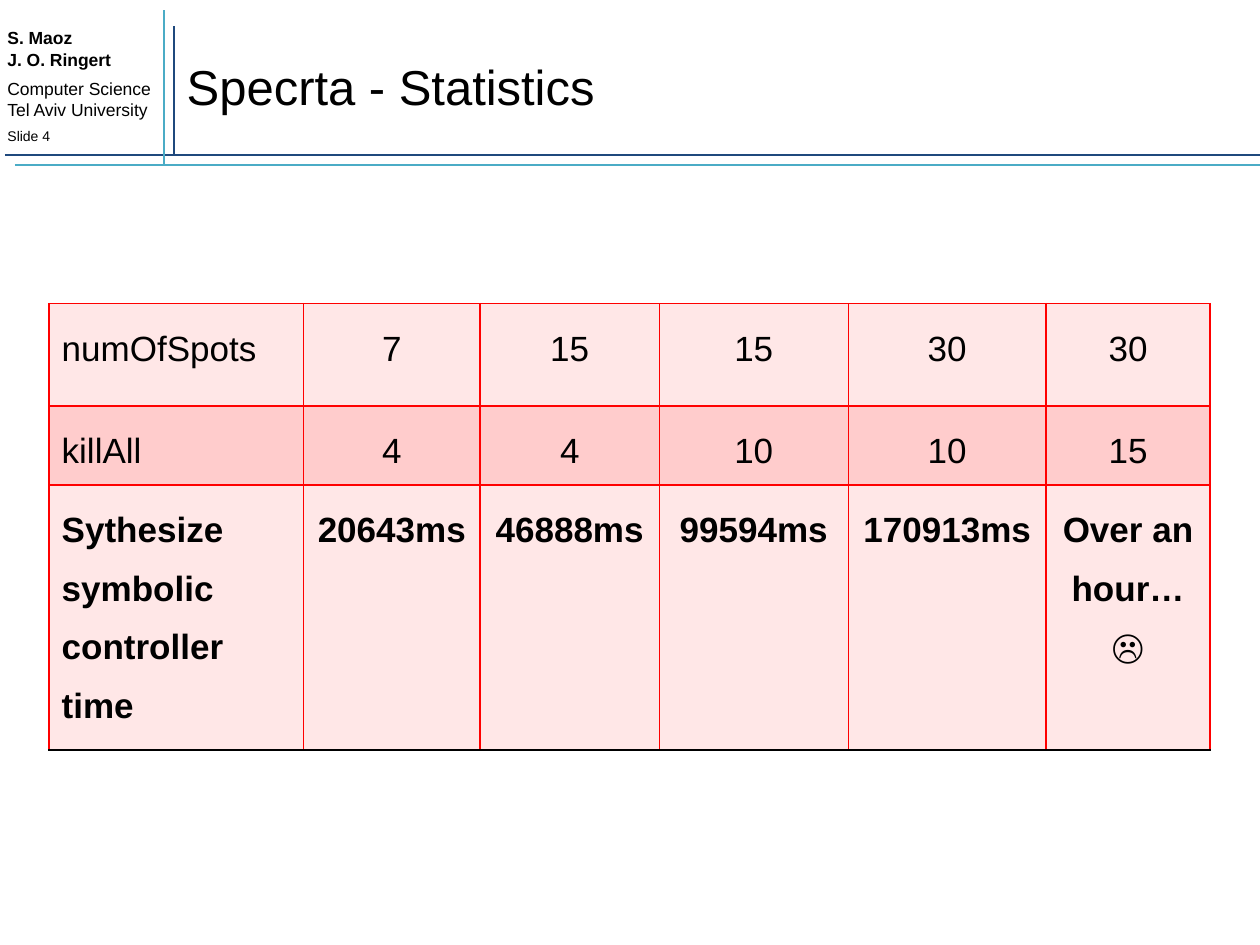
"""Build the statistics slide with its header lines and results table."""
from lxml import etree
from pptx import Presentation
from pptx.dml.color import RGBColor
from pptx.enum.shapes import MSO_CONNECTOR
from pptx.enum.text import MSO_ANCHOR, PP_ALIGN
from pptx.oxml.ns import qn
from pptx.util import Cm, Pt

LINE = MSO_CONNECTOR.STRAIGHT
MIDDLE = MSO_ANCHOR.MIDDLE
LEFT, CENTER = PP_ALIGN.LEFT, PP_ALIGN.CENTER
FONT = "Arial"
COLORS = {
    "navy": "1F497D", "teal": "4BACC6", "black": "000000",
    "red": "FF0000", "pale": "FFE7E7", "pink": "FFCCCC",
}
RULES = [
    (0.1, 3.12, 25.4, 3.12, "navy"),
    (0.3, 3.33, 25.4, 3.33, "teal"),
    (3.3, 3.33, 3.3, 0.2, "teal"),
    (3.51, 3.12, 3.51, 0.53, "navy"),
]
CREDITS = [
    ("S. Maoz\vJ. O. Ringert", 10, True, 0),
    ("Computer Science\vTel Aviv University", 10, False, 5),
    ("Slide 4", 8, False, 4),
]
WIDTHS = [5.13, 3.56, 3.61, 3.81, 3.99, 3.3]
HEIGHTS = [2.06, 1.6, 4.98]
ROWS = [
    ["numOfSpots", "7", "15", "15", "30", "30"],
    ["killAll", "4", "4", "10", "10", "15"],
    ["Sythesize symbolic controller time", "20643ms", "46888ms",
     "99594ms", "170913ms", "Over an hour… ☹"],
]


def color(name):
    return RGBColor.from_string(COLORS[name])


def write(para, text, size, bold=False, align=LEFT):
    para.text = text
    para.alignment = align
    for run in para.runs:
        font = run.font
        font.name, font.size, font.bold = FONT, Pt(size), bold
        font.color.rgb = color("black")


def add_rule(slide, x1, y1, x2, y2, tint):
    rule = slide.shapes.add_connector(LINE, Cm(x1), Cm(y1), Cm(x2), Cm(y2))
    rule.line.color.rgb = color(tint)
    rule.line.width = Pt(1)
    etree.SubElement(rule._element.spPr, qn("a:effectLst"))


def add_credits(slide):
    box = slide.shapes.add_textbox(Cm(-0.1), Cm(0.43), Cm(3.61), Cm(2.69))
    frame = box.text_frame
    frame.word_wrap = True
    for i, (text, size, bold, gap) in enumerate(CREDITS):
        para = frame.add_paragraph() if i else frame.paragraphs[0]
        write(para, text, size, bold)
        para.space_before = Pt(gap)


def set_title(slide, text):
    title = slide.shapes.title
    title.left, title.top = Cm(3.51), Cm(0.76)
    title.width, title.height = Cm(20.6), Cm(1.96)
    title.text_frame.vertical_anchor = MIDDLE
    write(title.text_frame.paragraphs[0], text, 28)


def set_border(cell, side, tint):
    props = cell._tc.get_or_add_tcPr()
    line = etree.SubElement(props, qn(f"a:ln{side}"), w=str(Pt(1)))
    fill = etree.SubElement(line, qn("a:solidFill"))
    etree.SubElement(fill, qn("a:srgbClr"), val=COLORS[tint])


def add_table(slide):
    frame = slide.shapes.add_table(
        len(ROWS), len(WIDTHS), Cm(0.99), Cm(6.12),
        Cm(sum(WIDTHS)), Cm(sum(HEIGHTS)))
    table = frame.table
    table.first_row = table.horz_banding = False
    for col, width in zip(table.columns, WIDTHS):
        col.width = Cm(width)
    for r, texts in enumerate(ROWS):
        table.rows[r].height = Cm(HEIGHTS[r])
        last = r == len(ROWS) - 1
        for c, text in enumerate(texts):
            cell = table.cell(r, c)
            para = cell.text_frame.paragraphs[0]
            write(para, text, 20, last, CENTER if c else LEFT)
            para.line_spacing = 1.5
            for side in "LRTB":
                edge = last and side == "B"
                set_border(cell, side, "black" if edge else "red")
            cell.fill.solid()
            cell.fill.fore_color.rgb = color("pink" if r % 2 else "pale")


def main():
    deck = Presentation()
    deck.slide_width, deck.slide_height = Cm(25.4), Cm(19.05)
    slide = deck.slides.add_slide(deck.slide_layouts[5])
    for rule in RULES:
        add_rule(slide, *rule)
    add_credits(slide)
    set_title(slide, "Specrta - Statistics")
    add_table(slide)
    deck.save("out.pptx")


if __name__ == "__main__":
    main()
